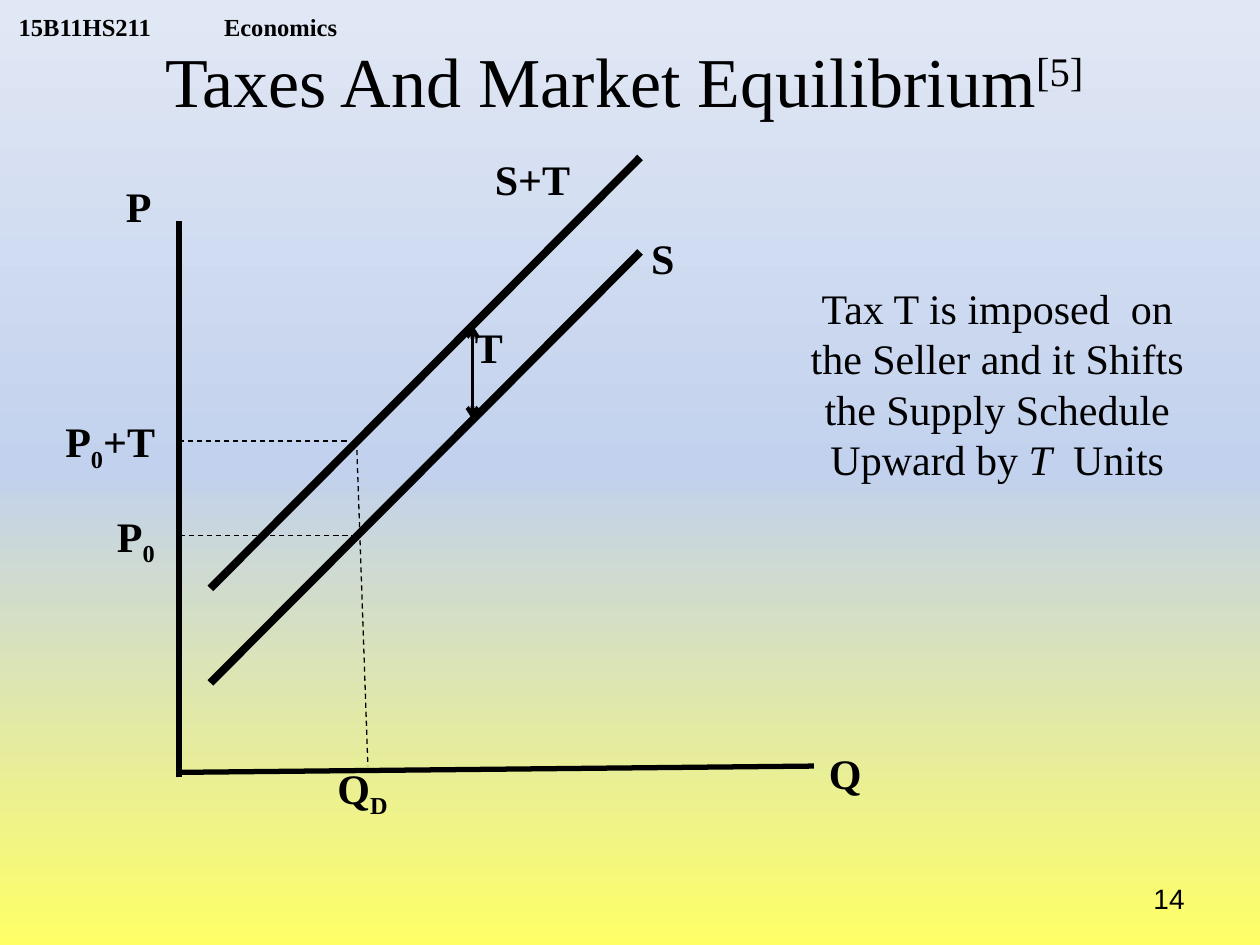
from copy import deepcopy

from lxml import etree
from pptx import Presentation
from pptx.dml.color import RGBColor
from pptx.enum.dml import MSO_LINE
from pptx.enum.shapes import MSO_CONNECTOR
from pptx.enum.text import MSO_ANCHOR, MSO_AUTO_SIZE, PP_ALIGN
from pptx.oxml.ns import qn
from pptx.util import Inches, Pt

STRAIGHT = MSO_CONNECTOR.STRAIGHT
DASH = MSO_LINE.DASH
LEFT, CENTER, RIGHT = PP_ALIGN.LEFT, PP_ALIGN.CENTER, PP_ALIGN.RIGHT
TOP, MIDDLE, BOTTOM = MSO_ANCHOR.TOP, MSO_ANCHOR.MIDDLE, MSO_ANCHOR.BOTTOM
NO_FIT, GROW = MSO_AUTO_SIZE.NONE, MSO_AUTO_SIZE.SHAPE_TO_FIT_TEXT
SERIF, SANS = "Times New Roman", "Arial"
BLACK = "000000"
TITLE_ONLY = 5
SUBSCRIPT, SUPERSCRIPT = -25, 30

AXIS_LEFT = 1.42
SUPPLY_START, SUPPLY_END = (1.67, 5.42), (5.08, 2)
TAX = 0.75
PRICE, PRICE_WITH_TAX = 4.25, 3.5

BACKGROUND = [(0, "FFFF66"), (0.5, "C2D1ED"), (1, "E1E8F5")]

# left, top, width, height, text as (part, baseline percent) pairs
GRAPH_LABELS = [
    (3.67, 2.5, 0.42, 0.5, [("T", 0)]),
    (3.83, 1.17, 0.8, 0.5, [("S+T", 0)]),
    (5.07, 1.8, 0.39, 0.5, [("S", 0)]),
    (6.48, 5.88, 0.46, 0.5, [("Q", 0)]),
    (0.9, 1.38, 0.4, 0.5, [("P", 0)]),
    (2.58, 6, 0.62, 0.5, [("Q", 0), ("D", SUBSCRIPT)]),
    (0.42, 3.25, 0.93, 0.5, [("P", 0), ("0", SUBSCRIPT), ("+T", 0)]),
    (0.83, 4, 0.52, 0.5, [("P", 0), ("0", SUBSCRIPT)]),
]


def color(hex_value):
    return RGBColor.from_string(hex_value)


def paint_background(slide):
    fill = slide.background.fill
    fill.gradient()
    fill.gradient_angle = 90
    stop_list = slide.element.find(".//" + qn("a:gsLst"))
    stop_list.append(deepcopy(stop_list[0]))
    for stop, (position, hex_value) in zip(fill.gradient_stops, BACKGROUND):
        stop.position = position
        stop.color.rgb = color(hex_value)


def write(shape, parts, size, font=SERIF, bold=False, align=LEFT,
          anchor=TOP, wrap=True, fit=NO_FIT):
    """Fill a shape with one paragraph of (text, baseline percent) parts."""
    frame = shape.text_frame
    frame.word_wrap = wrap
    frame.auto_size = fit
    frame.vertical_anchor = anchor
    paragraph = frame.paragraphs[0]
    paragraph.alignment = align
    for text, baseline in parts:
        run = paragraph.add_run()
        run.text = text
        run.font.name = font
        run.font.size = Pt(size)
        run.font.bold = bold
        run.font.color.rgb = color(BLACK)
        if baseline:
            run.font._element.set("baseline", str(baseline * 1000))
    return paragraph


def add_text(slide, left, top, width, height, parts, size, **style):
    box = slide.shapes.add_textbox(
        Inches(left), Inches(top), Inches(width), Inches(height))
    write(box, parts, size, **style)
    return box


def add_line(slide, start, end, width, dash=None, arrows=False):
    line = slide.shapes.add_connector(
        STRAIGHT, *(Inches(value) for value in (*start, *end)))
    line.line.color.rgb = color(BLACK)
    line.line.width = Pt(width)
    if dash:
        line.line.dash_style = dash
    if arrows:
        outline = line.line._get_or_add_ln()
        for end_tag in ("a:headEnd", "a:tailEnd"):
            etree.SubElement(outline, qn(end_tag), type="arrow")
    etree.SubElement(line._element.spPr, qn("a:effectLst"))


def add_course_header(slide):
    header = add_text(slide, 0.05, 0, 3.2, 0.33, [("15B11HS211\tEconomics", 0)],
                      14, bold=True, anchor=BOTTOM)
    header.text_frame.margin_top = header.text_frame.margin_bottom = 0
    properties = header.text_frame.paragraphs[0]._p.get_or_add_pPr()
    tabs = etree.SubElement(properties, qn("a:tabLst"))
    etree.SubElement(tabs, qn("a:tab"), pos=str(Inches(1.63)), algn="l")


def add_explanation(slide):
    title = slide.shapes.title
    title.left, title.top = Inches(6.33), Inches(2.33)
    title.width, title.height = Inches(3.17), Inches(1.42)
    parts = [("Tax T is imposed  on the Seller and it Shifts "
              "the Supply Schedule Upward by ", 0), ("T", 0), ("  Units", 0)]
    paragraph = write(title, parts, 24, align=CENTER, anchor=MIDDLE)
    paragraph.runs[1].font.italic = True


def add_graph(slide):
    add_line(slide, SUPPLY_START, SUPPLY_END, 4.5)
    for label in GRAPH_LABELS:
        add_text(slide, *label, 24, bold=True, wrap=False, fit=GROW)
    add_line(slide, (2.83, PRICE), (AXIS_LEFT, PRICE), 0.75, DASH)
    add_line(slide, (2.75, PRICE_WITH_TAX), (AXIS_LEFT, PRICE_WITH_TAX), 0.75, DASH)
    add_line(slide, (2.83, PRICE_WITH_TAX), (2.92, 6.08), 0.75, DASH)
    add_line(slide, (3.75, 2.58), (3.75, 2.58 + TAX), 2.25, arrows=True)
    taxed_start, taxed_end = ((x, y - TAX) for x, y in (SUPPLY_START, SUPPLY_END))
    add_line(slide, taxed_start, taxed_end, 4.5)
    add_line(slide, (AXIS_LEFT, 6.17), (AXIS_LEFT, 1.75), 3)
    add_line(slide, (AXIS_LEFT, 6.13), (6.46, 6.08), 3)


def main():
    presentation = Presentation()
    presentation.slide_width, presentation.slide_height = Inches(10), Inches(7.5)
    slide = presentation.slides.add_slide(presentation.slide_layouts[TITLE_ONLY])
    paint_background(slide)
    add_course_header(slide)
    add_explanation(slide)
    add_text(slide, 0.58, 0.25, 8.83, 0.77,
             [("Taxes And Market Equilibrium", 0), ("[5] ", SUPERSCRIPT)],
             40, align=CENTER, fit=GROW)
    add_text(slide, 7.17, 6.95, 2.33, 0.4, [("14", 0)], 16, font=SANS, align=RIGHT)
    add_graph(slide)
    presentation.save("out.pptx")


if __name__ == "__main__":
    main()
